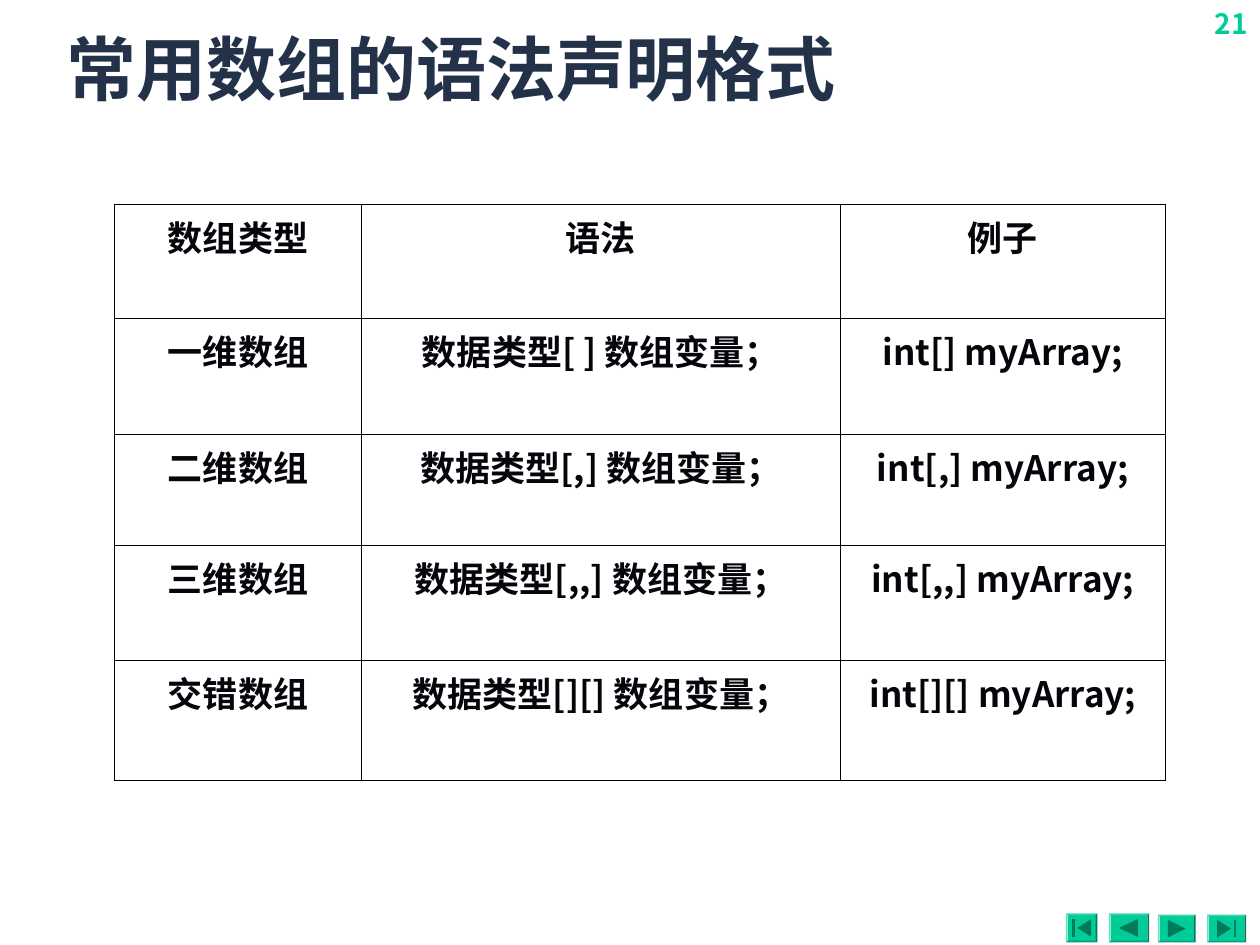
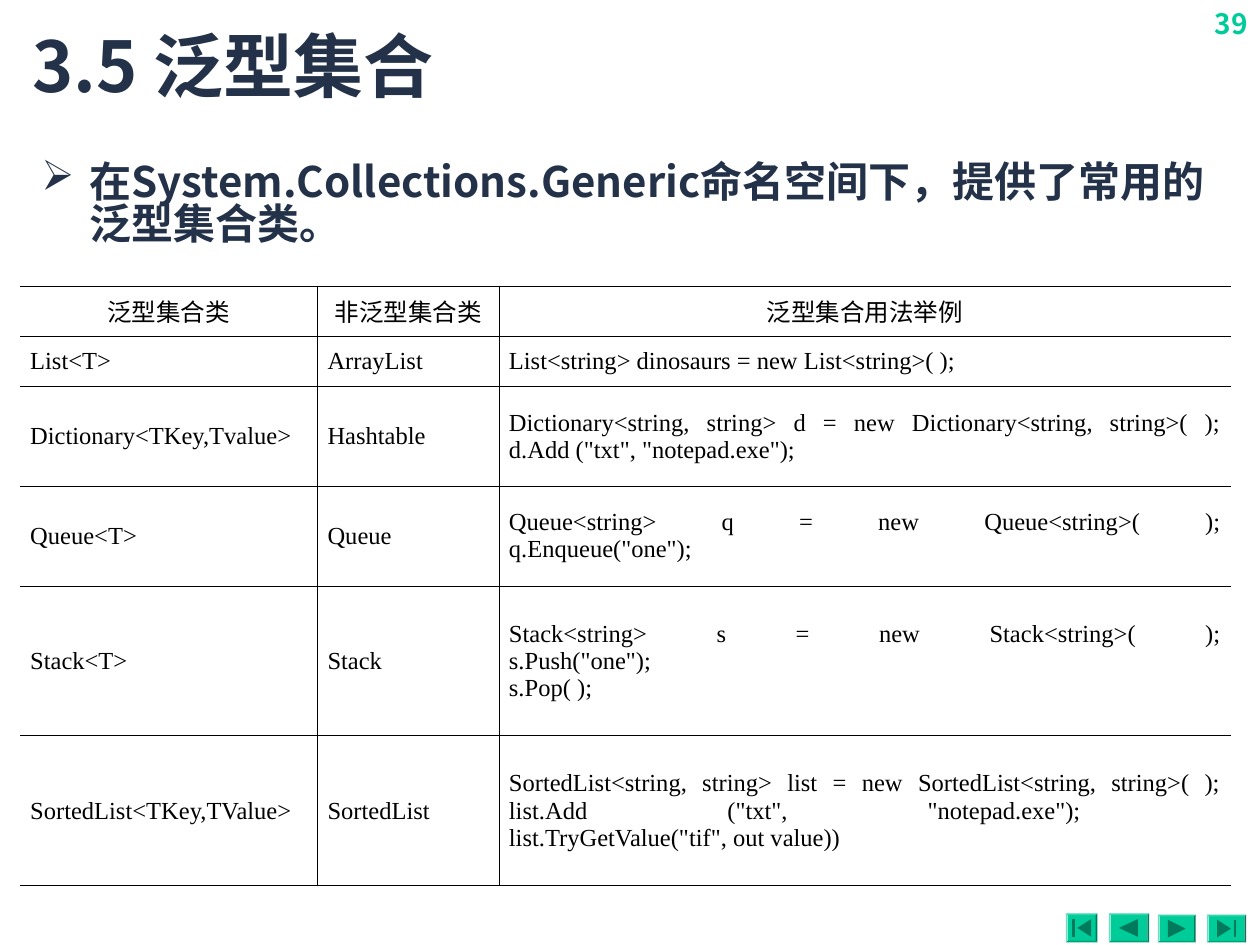
import copy
from dataclasses import dataclass
from typing import Any, Optional

import pptx
import pptx.dml.color
import pptx.enum.shapes
import pptx.enum.text
import pptx.oxml
import pptx.oxml.ns
import pptx.util

Inches = pptx.util.Inches
RGBColor = pptx.dml.color.RGBColor
Align = pptx.enum.text.PP_ALIGN
Anchor = pptx.enum.text.MSO_ANCHOR
Preset = pptx.enum.shapes.MSO_SHAPE

NAVY = RGBColor(0x23, 0x32, 0x49)
GREEN = RGBColor(0x00, 0xCC, 0x99)
DARK_GREEN = RGBColor(0x00, 0x7A, 0x5C)
INK = RGBColor(0x05, 0x05, 0x0B)
BLACK = RGBColor(0x00, 0x00, 0x00)

CHINESE_FONT = "Noto Sans CJK SC"
NUMBER_FONT = "Noto Sans CJK KR"
CODE_FONT = "Times New Roman"
BORDER_WIDTH = pptx.util.Pt(0.45)


@dataclass(frozen=True)
class Box:
    """A rectangle on the slide, in inches."""

    left: float
    top: float
    width: float
    height: float

    def lengths(self) -> tuple:
        """Return the four measures as lengths."""
        return tuple(map(Inches, (self.left, self.top, self.width, self.height)))


@dataclass(frozen=True)
class NavigationButton:
    """A bevelled button with a triangle and perhaps a bar."""

    box: Box
    tip: float
    base: float
    bar: Optional[float] = None


@dataclass(frozen=True)
class Grid:
    """A table with its place, measures and style."""

    left: float
    top: float
    columns: tuple
    heights: tuple
    rows: tuple
    header_format: dict
    body_format: dict
    side_margin: float
    anchor: Any
    open_sides: bool = False


NAVIGATION_BUTTONS = (
    NavigationButton(Box(8.46, 7.25, 0.25, 0.23), 8.55, 8.66, 8.51),
    NavigationButton(Box(8.8, 7.25, 0.32, 0.23), 8.88, 9.03),
    NavigationButton(Box(9.19, 7.26, 0.3, 0.22), 9.41, 9.27),
    NavigationButton(Box(9.58, 7.26, 0.31, 0.22), 9.77, 9.66, 9.79),
)

ARRAY_FORMAT = dict(size=20, color=INK, bold=True, align=Align.CENTER)
ARRAY_GRID = Grid(
    left=0.91,
    top=1.62,
    columns=(1.96, 3.8, 2.58),
    heights=(0.91, 0.92, 0.88, 0.91, 0.95),
    rows=(
        ("数组类型", "语法", "例子"),
        *(
            (f"{kind}数组", f"数据类型{brackets} 数组变量；", f"int{brackets.replace(' ', '')} myArray;")
            for kind, brackets in (("一维", "[ ]"), ("二维", "[,]"), ("三维", "[,,]"), ("交错", "[][]"))
        ),
    ),
    header_format=ARRAY_FORMAT,
    body_format=ARRAY_FORMAT,
    side_margin=0.1,
    anchor=Anchor.TOP,
)

COLLECTION_FORMAT = dict(size=14, color=BLACK, font=CODE_FONT)
COLLECTION_GRID = Grid(
    left=0.16,
    top=2.27,
    columns=(2.36, 1.44, 5.81),
    heights=(0.4, 0.4, 0.79, 0.79, 1.19, 1.19),
    rows=(
        ("泛型集合类", "非泛型集合类", "泛型集合用法举例"),
        ("List<T>", "ArrayList", "List<string> dinosaurs = new List<string>( );"),
        (
            "Dictionary<TKey,Tvalue>",
            "Hashtable",
            'Dictionary<string, string> d = new Dictionary<string, string>( );\nd.Add ("txt", "notepad.exe");',
        ),
        ("Queue<T>", "Queue", 'Queue<string> q = new Queue<string>( );\nq.Enqueue("one");'),
        ("Stack<T>", "Stack", 'Stack<string> s = new Stack<string>( );\ns.Push("one");\ns.Pop( );'),
        (
            "SortedList<TKey,TValue>",
            "SortedList",
            "SortedList<string, string> list = new SortedList<string, string>( );\n"
            'list.Add ("txt", "notepad.exe"); \nlist.TryGetValue("tif", out value))',
        ),
    ),
    header_format=dict(COLLECTION_FORMAT, align=Align.CENTER),
    body_format=dict(COLLECTION_FORMAT, align=Align.JUSTIFY),
    side_margin=0.08,
    anchor=Anchor.MIDDLE,
    open_sides=True,
)


def add_element(parent: Any, tag: str, **attributes: str) -> Any:
    """Append a drawing element and return it."""
    element = pptx.oxml.parse_xml(f"<a:{tag} {pptx.oxml.ns.nsdecls('a')}/>")
    for name, value in attributes.items():
        element.set(name, value)
    parent.append(element)
    return element


def write_text(
    frame: Any,
    text: str,
    *,
    size: float,
    color: RGBColor,
    font: str = CHINESE_FONT,
    bold: bool = False,
    align: Any = Align.LEFT,
    bullet: str = "",
    line_spacing: Optional[float] = None,
) -> None:
    """Write one formatted paragraph into a text frame."""
    paragraph = frame.paragraphs[0]
    paragraph.text = text
    paragraph.alignment = align
    if bullet:
        properties = paragraph._p.get_or_add_pPr()
        properties.set("marL", str(Inches(0.38)))
        properties.set("indent", str(-Inches(0.38)))
        add_element(add_element(properties, "buClr"), "srgbClr", val=str(color))
        add_element(properties, "buChar", char=bullet)
    if line_spacing:
        paragraph.line_spacing = line_spacing
    for run in paragraph.runs:
        run.font.size = pptx.util.Pt(size)
        run.font.bold = bold
        run.font.color.rgb = color
        run.font.name = font
        east_asian = font if font == NUMBER_FONT else CHINESE_FONT
        add_element(run._r.get_or_add_rPr(), "ea", typeface=east_asian)
    for line_break in paragraph._p.findall(pptx.oxml.ns.qn("a:br")):
        line_break.append(copy.deepcopy(paragraph.runs[0]._r.rPr))


def add_text(slide: Any, box: Box, text: str, anchor: Any = Anchor.TOP, **text_format: Any) -> None:
    """Add a wrapping text box."""
    frame = slide.shapes.add_textbox(*box.lengths()).text_frame
    frame.word_wrap = True
    frame.vertical_anchor = anchor
    write_text(frame, text, **text_format)


def paint(shape: Any, color: RGBColor) -> None:
    """Give a shape a plain fill without line or shadow."""
    shape.shadow.inherit = False
    shape.fill.solid()
    shape.fill.fore_color.rgb = color
    shape.line.fill.background()


def add_outline(slide: Any, points: list) -> None:
    """Add a closed dark outline through points in inches."""
    corners = [(Inches(x), Inches(y)) for x, y in points]
    builder = slide.shapes.build_freeform(*corners[0], scale=1.0)
    builder.add_line_segments(corners[1:], close=True)
    paint(builder.convert_to_shape(), DARK_GREEN)


def add_navigation_button(slide: Any, button: NavigationButton) -> None:
    """Draw a bevelled button and its symbol."""
    bevel = slide.shapes.add_shape(Preset.BEVEL, *button.box.lengths())
    bevel.adjustments[0] = 0.06
    paint(bevel, GREEN)
    middle = button.box.top + button.box.height / 2
    top, bottom = middle - 0.07, middle + 0.07
    add_outline(slide, [(button.tip, middle), (button.base, top), (button.base, bottom)])
    if button.bar is not None:
        right = button.bar + 0.02
        add_outline(slide, [(button.bar, top), (right, top), (right, bottom), (button.bar, bottom)])


def set_borders(cell: Any, hidden: set) -> None:
    """Draw the cell borders except the hidden sides."""
    properties = cell._tc.get_or_add_tcPr()
    for side in "LRTB":
        line = add_element(properties, f"ln{side}", w=str(BORDER_WIDTH))
        if side in hidden:
            add_element(line, "noFill")
        else:
            add_element(add_element(line, "solidFill"), "srgbClr", val=str(BLACK))


def add_grid(slide: Any, grid: Grid) -> None:
    """Add a ruled table without fills."""
    box = Box(grid.left, grid.top, sum(grid.columns), sum(grid.heights))
    table = slide.shapes.add_table(len(grid.rows), len(grid.columns), *box.lengths()).table
    table.first_row = table.horz_banding = False
    for column, width in zip(table.columns, grid.columns):
        column.width = Inches(width)
    for row_index, (height, texts) in enumerate(zip(grid.heights, grid.rows)):
        table.rows[row_index].height = Inches(height)
        text_format = grid.body_format if row_index else grid.header_format
        for column_index, text in enumerate(texts):
            cell = table.cell(row_index, column_index)
            cell.margin_left = cell.margin_right = Inches(grid.side_margin)
            cell.vertical_anchor = grid.anchor
            hidden = set()
            if grid.open_sides:
                hidden = {0: {"L"}, len(texts) - 1: {"R"}}.get(column_index, set())
            set_borders(cell, hidden)
            cell.fill.background()
            write_text(cell.text_frame, text, **text_format)


def add_slide(presentation: Any, number: int, title: str, title_box: Box) -> Any:
    """Add a slide with number, navigation and title."""
    slide = presentation.slides.add_slide(presentation.slide_layouts[6])
    add_text(
        slide, Box(9.35, 0, 0.65, 0.4), str(number),
        size=16, color=GREEN, font=NUMBER_FONT, bold=True, align=Align.RIGHT,
    )
    for button in NAVIGATION_BUTTONS:
        add_navigation_button(slide, button)
    add_text(slide, title_box, title, Anchor.MIDDLE, size=40, color=NAVY, bold=True)
    return slide


def main() -> None:
    """Build and save the presentation."""
    presentation = pptx.Presentation()
    presentation.slide_width, presentation.slide_height = Inches(10), Inches(7.5)

    arrays = add_slide(presentation, 21, "常用数组的语法声明格式", Box(0.43, 0.12, 9.08, 0.83))
    add_grid(arrays, ARRAY_GRID)

    collections = add_slide(presentation, 39, "3.5 泛型集合", Box(0.16, 0, 9.25, 1.02))
    add_text(
        collections, Box(0.23, 1.25, 9.53, 0.94),
        "在System.Collections.Generic命名空间下，提供了常用的泛型集合类。",
        size=24, color=NAVY, bold=True, bullet="➢", line_spacing=0.84,
    )
    add_grid(collections, COLLECTION_GRID)

    presentation.save("out.pptx")


if __name__ == "__main__":
    main()
